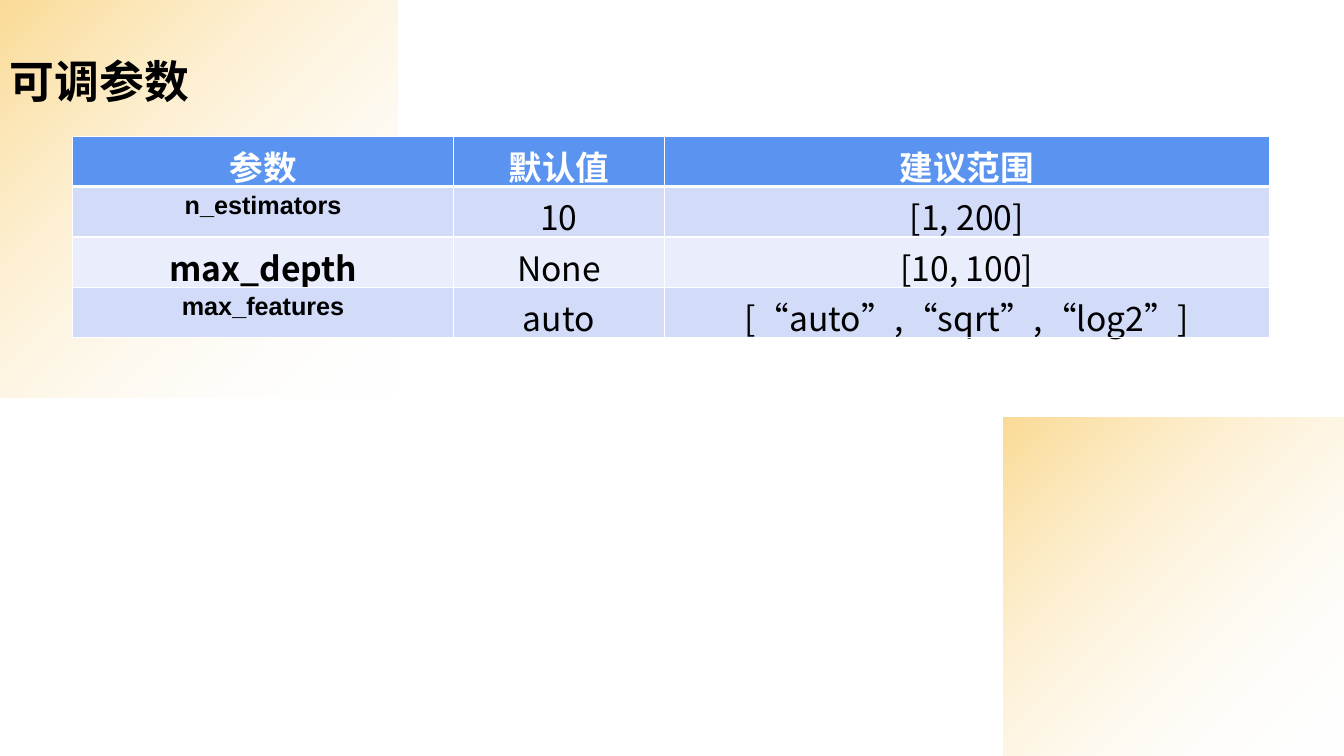
from dataclasses import dataclass

from lxml import etree
from pptx import Presentation
from pptx import util as u
from pptx.dml import color
from pptx.enum import shapes, text
from pptx.oxml import ns
from pptx.slide import Slide
from pptx.table import _Cell
from pptx.text import text as txt

BLACK = color.RGBColor(0x00, 0x00, 0x00)
WHITE = color.RGBColor(0xFF, 0xFF, 0xFF)
GOLD = color.RGBColor(0xF7, 0xB6, 0x29)
HEADER_BLUE = color.RGBColor(0x5A, 0x94, 0xF0)
BAND_DARK = color.RGBColor(0xD2, 0xDC, 0xF9)
BAND_LIGHT = color.RGBColor(0xEA, 0xEE, 0xFC)

CJK_FONT = "Noto Sans CJK SC"
LATIN_FONT = "Arial"
COLUMN_WIDTHS = (9.6, 5.31, 15.25)
ROW_HEIGHT = 1.04


@dataclass(frozen=True)
class GlowSquare:
    left: float
    top: float
    side: float


@dataclass(frozen=True)
class Style:
    size: int
    font: str
    colour: color.RGBColor = BLACK
    bold: bool = False


@dataclass(frozen=True)
class Parameter:
    name: str
    default: str
    value_range: str
    name_style: Style


HEADING = Style(24, CJK_FONT, WHITE, True)
VALUE = Style(24, CJK_FONT)
NAME_SMALL = Style(18, LATIN_FONT, bold=True)
NAME_LARGE = Style(24, CJK_FONT, bold=True)
TITLE = Style(32, LATIN_FONT, bold=True)

GLOW_SQUARES = (GlowSquare(0, 0, 10.03), GlowSquare(25.3, 10.51, 8.56))
HEADINGS = ("参数", "默认值", "建议范围")
PARAMETERS = (
    Parameter("n_estimators", "10", "[1, 200]", NAME_SMALL),
    Parameter("max_depth", "None", "[10, 100]", NAME_LARGE),
    Parameter("max_features", "auto", "[“auto”,“sqrt”,“log2”]", NAME_SMALL),
)


def add_run(p: txt._Paragraph, content: str, style: Style) -> None:
    r = p.add_run()
    r.text = content
    r.font.size = u.Pt(style.size)
    r.font.bold = style.bold
    r.font.color.rgb = style.colour
    r.font.name = style.font
    ea = etree.SubElement(r.font._element, ns.qn("a:ea"))
    ea.set("typeface", CJK_FONT)


def add_glow(s: Slide, glow: GlowSquare) -> None:
    sp = s.shapes.add_shape(
        shapes.MSO_SHAPE.RECTANGLE,
        u.Cm(glow.left), u.Cm(glow.top), u.Cm(glow.side), u.Cm(glow.side),
    )
    sp.shadow.inherit = False
    sp.line.fill.background()
    sp.fill.background()
    gradient = etree.fromstring(
        f'<a:gradFill {ns.nsdecls("a")} rotWithShape="1"><a:gsLst>'
        f'<a:gs pos="0"><a:srgbClr val="{GOLD}"><a:alpha val="50000"/></a:srgbClr></a:gs>'
        f'<a:gs pos="100000"><a:srgbClr val="{WHITE}"><a:alpha val="0"/></a:srgbClr></a:gs>'
        '</a:gsLst><a:path path="circle"><a:fillToRect r="100000" b="100000"/></a:path>'
        "</a:gradFill>"
    )
    properties = sp._element.spPr
    properties.replace(properties.find(ns.qn("a:noFill")), gradient)


def add_title(s: Slide, content: str) -> None:
    sp = s.shapes.add_textbox(0, 0, u.Cm(33.87), u.Cm(2.84))
    tf = sp.text_frame
    tf.word_wrap = True
    tf.vertical_anchor = text.MSO_ANCHOR.BOTTOM
    p = tf.paragraphs[0]
    p.line_spacing = 0.9
    add_run(p, content, TITLE)


def set_borders(cell: _Cell, bottom: float) -> None:
    properties = cell._tc.get_or_add_tcPr()
    for side, width in (("L", 1), ("R", 1), ("T", 1), ("B", bottom)):
        line = etree.SubElement(properties, ns.qn(f"a:ln{side}"), w=str(u.Pt(width)))
        fill = etree.SubElement(line, ns.qn("a:solidFill"))
        etree.SubElement(fill, ns.qn("a:srgbClr"), val=str(WHITE))


def fill_cell(
    cell: _Cell, content: str, style: Style, fill: color.RGBColor, bottom: float = 1
) -> None:
    set_borders(cell, bottom)
    cell.fill.solid()
    cell.fill.fore_color.rgb = fill
    p = cell.text_frame.paragraphs[0]
    p.alignment = text.PP_ALIGN.CENTER
    add_run(p, content, style)


def add_parameter_table(s: Slide) -> None:
    row_count = len(PARAMETERS) + 1
    table = s.shapes.add_table(
        row_count, len(HEADINGS), u.Cm(1.83), u.Cm(3.43),
        u.Cm(sum(COLUMN_WIDTHS)), u.Cm(ROW_HEIGHT * row_count),
    ).table
    for column, width in zip(table.columns, COLUMN_WIDTHS):
        column.width = u.Cm(width)
    for row in table.rows:
        row.height = u.Cm(ROW_HEIGHT)
    for col, heading in enumerate(HEADINGS):
        fill_cell(table.cell(0, col), heading, HEADING, HEADER_BLUE, bottom=3)
    for row, parameter in enumerate(PARAMETERS, 1):
        band = BAND_DARK if row % 2 else BAND_LIGHT
        fill_cell(table.cell(row, 0), parameter.name, parameter.name_style, band)
        fill_cell(table.cell(row, 1), parameter.default, VALUE, band)
        fill_cell(table.cell(row, 2), parameter.value_range, VALUE, band)


def main() -> None:
    prs = Presentation()
    prs.slide_width = u.Cm(33.87)
    prs.slide_height = u.Cm(19.05)
    s = prs.slides.add_slide(prs.slide_layouts[6])
    for glow in GLOW_SQUARES:
        add_glow(s, glow)
    add_title(s, "可调参数")
    add_parameter_table(s)
    prs.save("out.pptx")


if __name__ == "__main__":
    main()
